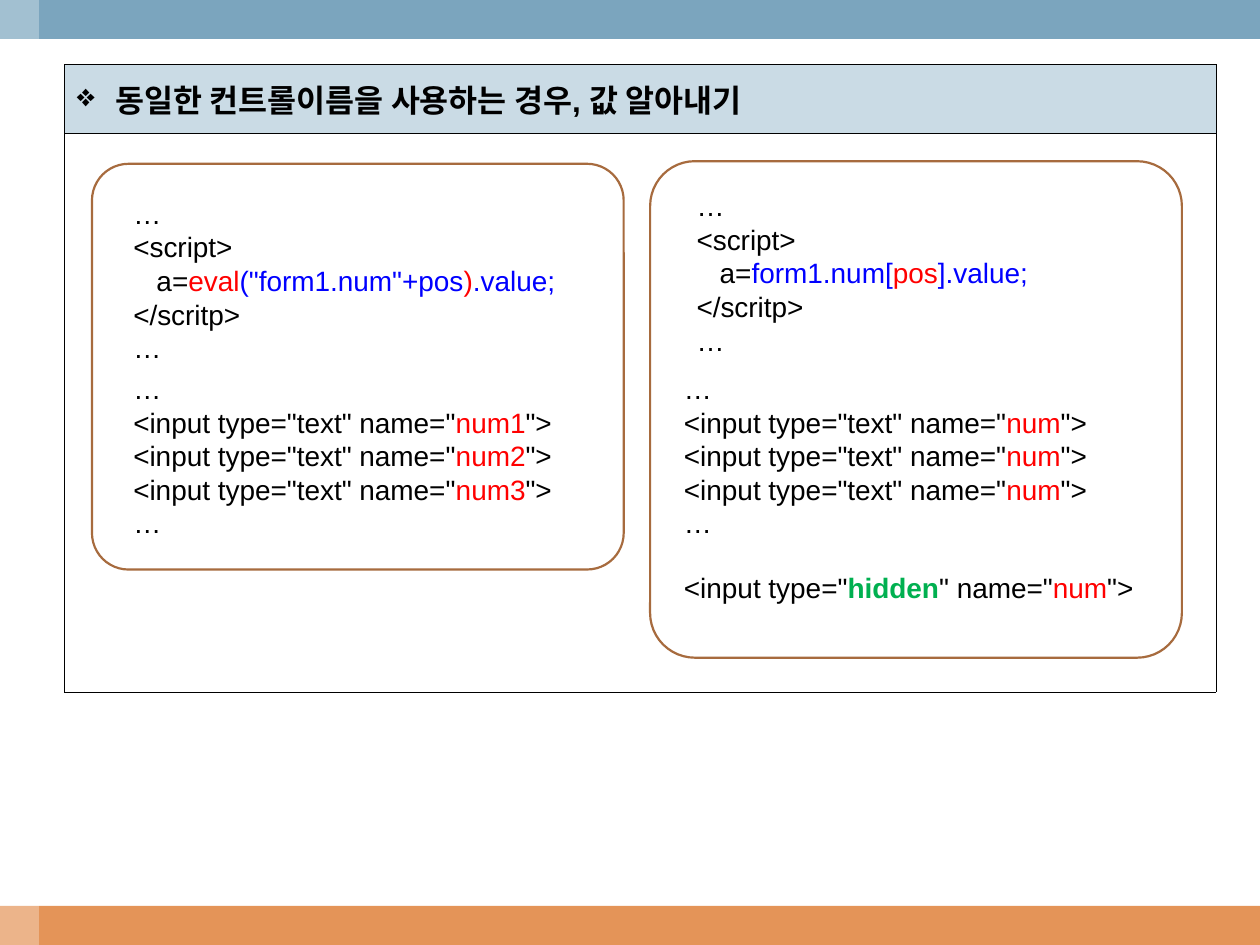
"""Build a slide comparing two ways to read values of same-named form controls."""
import dataclasses

import pptx
import pptx.dml.color
import pptx.enum.shapes
import pptx.enum.text
import pptx.oxml
import pptx.oxml.ns
import pptx.util

PX = 9144
SHAPES = pptx.enum.shapes.MSO_SHAPE


@dataclasses.dataclass(frozen=True)
class Theme:
    """Hold the colours, font and sizes of the slide."""
    font: str = "Arial"
    heading_size: int = 18
    code_size: int = 16
    line_gap: int = 18
    border: float = 0.11
    outline: float = 1.25
    ink: str = "000000"
    paper: str = "FFFFFF"
    header: str = "CADBE5"
    top_band: str = "7BA5BE"
    bottom_band: str = "E49458"
    panel_line: str = "A76B3E"
    red: str = "FF0000"
    blue: str = "0000FF"
    green: str = "00B050"


THEME = Theme()


def rgb(value):
    """Return a colour from its hex digits."""
    return pptx.dml.color.RGBColor.from_string(value)


def emu(*lengths):
    """Turn px lengths into EMU."""
    return [pptx.util.Emu(length * PX) for length in lengths]


def add_element(parent, xml, index=None):
    """Add a drawing element to its parent, at the end or at an index."""
    tag, rest = xml.split(" ", 1)
    element = pptx.oxml.parse_xml(f"<{tag} {pptx.oxml.ns.nsdecls('a')} {rest}")
    parent.insert(len(parent) if index is None else index, element)


def add_panel(slide, kind, box, fill, line=None):
    """Add a filled shape, outlined where a line colour is given."""
    panel = slide.shapes.add_shape(kind, *emu(*box))
    panel.shadow.inherit = False
    panel.fill.solid()
    panel.fill.fore_color.rgb = rgb(fill)
    if line:
        panel.line.color.rgb = rgb(line)
        panel.line.width = pptx.util.Pt(THEME.outline)
    else:
        panel.line.fill.background()
    return panel


def add_run(paragraph, text, size, color=THEME.ink, bold=False):
    """Add one formatted run to a paragraph."""
    run = paragraph.add_run()
    run.text = text
    run.font.name = THEME.font
    run.font.size = pptx.util.Pt(size)
    run.font.bold = bold
    run.font.color.rgb = rgb(color)


def add_bands(slide, width, height, band):
    """Add the top and bottom bands and the pale strip on the left."""
    add_panel(slide, SHAPES.RECTANGLE, (0, height - band, width, band), THEME.bottom_band)
    add_panel(slide, SHAPES.RECTANGLE, (0, 0, width, band), THEME.top_band)
    strip = add_panel(slide, SHAPES.RECTANGLE, (0, 0, band, height), THEME.paper)
    color = strip.fill._xPr.find(".//" + pptx.oxml.ns.qn("a:srgbClr"))
    add_element(color, 'a:alpha val="30000"/>')


def format_cell(cell, fill):
    """Fill a cell and border its four sides."""
    cell.fill.solid()
    cell.fill.fore_color.rgb = rgb(fill)
    properties = cell._tc.get_or_add_tcPr()
    width = int(pptx.util.Pt(THEME.border))
    for index, side in enumerate("LRTB"):
        add_element(properties, f'a:ln{side} w="{width}"><a:solidFill><a:srgbClr val="{THEME.ink}"/>'
                    f'</a:solidFill></a:ln{side}>', index)


def add_frame(slide, box, header_height, heading):
    """Add the table with a heading row above an empty body row."""
    table = slide.shapes.add_table(2, 1, *emu(*box)).table
    heights = (header_height, box[3] - header_height)
    for row, height, fill in zip(table.rows, heights, (THEME.header, THEME.paper)):
        row.height = emu(height)[0]
        format_cell(row.cells[0], fill)
    cell = table.cell(0, 0)
    cell.vertical_anchor = pptx.enum.text.MSO_ANCHOR.MIDDLE
    paragraph = cell.text_frame.paragraphs[0]
    properties = paragraph._p.get_or_add_pPr()
    indent = 31 * PX
    properties.set("marL", str(indent))
    properties.set("indent", str(-indent))
    add_element(properties, f'a:buClr ><a:srgbClr val="{THEME.ink}"/></a:buClr>')
    add_element(properties, 'a:buChar char="❖"/>')
    add_run(paragraph, heading, THEME.heading_size, bold=True)


def add_code(slide, box, lines, gap_before=None):
    """Add lines of coloured code, with a gap before one line if asked."""
    code = slide.shapes.add_textbox(*emu(*box)).text_frame
    code.word_wrap = True
    code.auto_size = pptx.enum.text.MSO_AUTO_SIZE.SHAPE_TO_FIT_TEXT
    for index, line in enumerate(lines):
        paragraph = code.paragraphs[0] if index == 0 else code.add_paragraph()
        if index == gap_before:
            paragraph.space_before = pptx.util.Pt(THEME.line_gap)
        for text, *style in line:
            add_run(paragraph, text, THEME.code_size, *style)


def script_lines(assignment):
    """Return the script block around an assignment."""
    return [[("…",)], [("<script>",)], [("   a=",), *assignment], [("</scritp>",)], [("…",)]]


def input_lines(names):
    """Return a block of text inputs with the given names."""
    inputs = [[('<input type="text" name="',), (name, THEME.red), ('">',)] for name in names]
    return [[("…",)], *inputs, [("…",)]]


def add_example(slide, box, script_box, script, inputs_box, inputs, gap_before=None):
    """Add a rounded panel with script and inputs placed inside its box."""
    left, top = box[:2]
    panel = add_panel(slide, SHAPES.ROUNDED_RECTANGLE, box, THEME.paper, THEME.panel_line)
    panel.adjustments[0] = 0.09
    for (x, y, width, height), lines, gap in ((inputs_box, inputs, gap_before),
                                              (script_box, script, None)):
        add_code(slide, (left + x, top + y, width, height), lines, gap)


def main():
    """Build and save the slide."""
    width, height = 1000, 750
    deck = pptx.Presentation()
    deck.slide_width, deck.slide_height = emu(width, height)
    slide = deck.slides.add_slide(deck.slide_layouts[6])
    add_bands(slide, width, height, 31)
    add_frame(slide, (51, 51, 914, 498), 55, "동일한 컨트롤이름을 사용하는 경우, 값 알아내기")

    eval_script = script_lines([("eval", THEME.red), ('("form1.num"+pos', THEME.blue),
                                (")", THEME.red), (".value;", THEME.blue)])
    add_example(slide, (73, 130, 422, 322), (23, 21, 383, 144), eval_script,
                (23, 160, 383, 144), input_lines(["num1", "num2", "num3"]))

    array_script = script_lines([("form1.num[", THEME.blue), ("pos", THEME.red),
                                 ("].value;", THEME.blue)])
    hidden_input = [('<input type="',), ("hidden", THEME.green, True), ('" name="',),
                    ("num", THEME.red), ('">',)]
    array_inputs = input_lines(["num"] * 3) + [hidden_input]
    add_example(slide, (516, 128, 422, 394), (27, 17, 383, 144), array_script,
                (17, 162, 402, 224), array_inputs, gap_before=len(array_inputs) - 1)
    deck.save("out.pptx")


if __name__ == "__main__":
    main()
